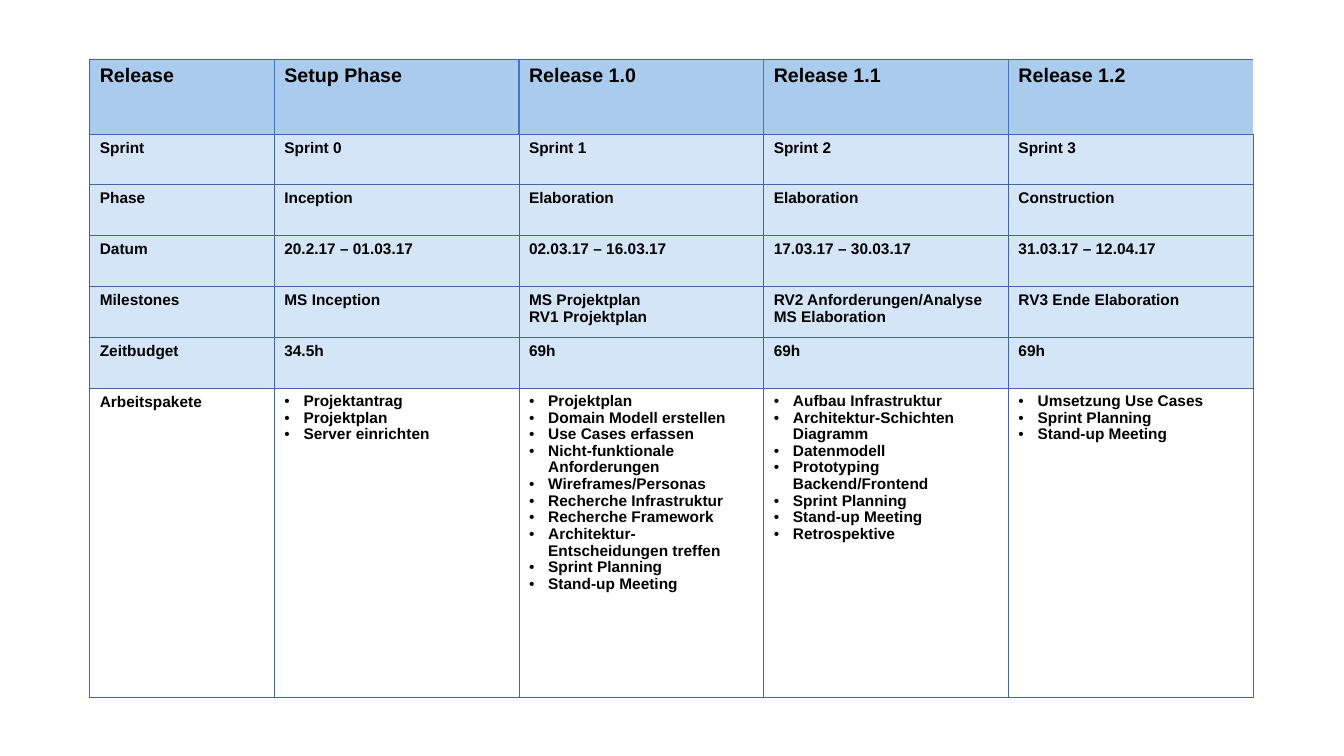
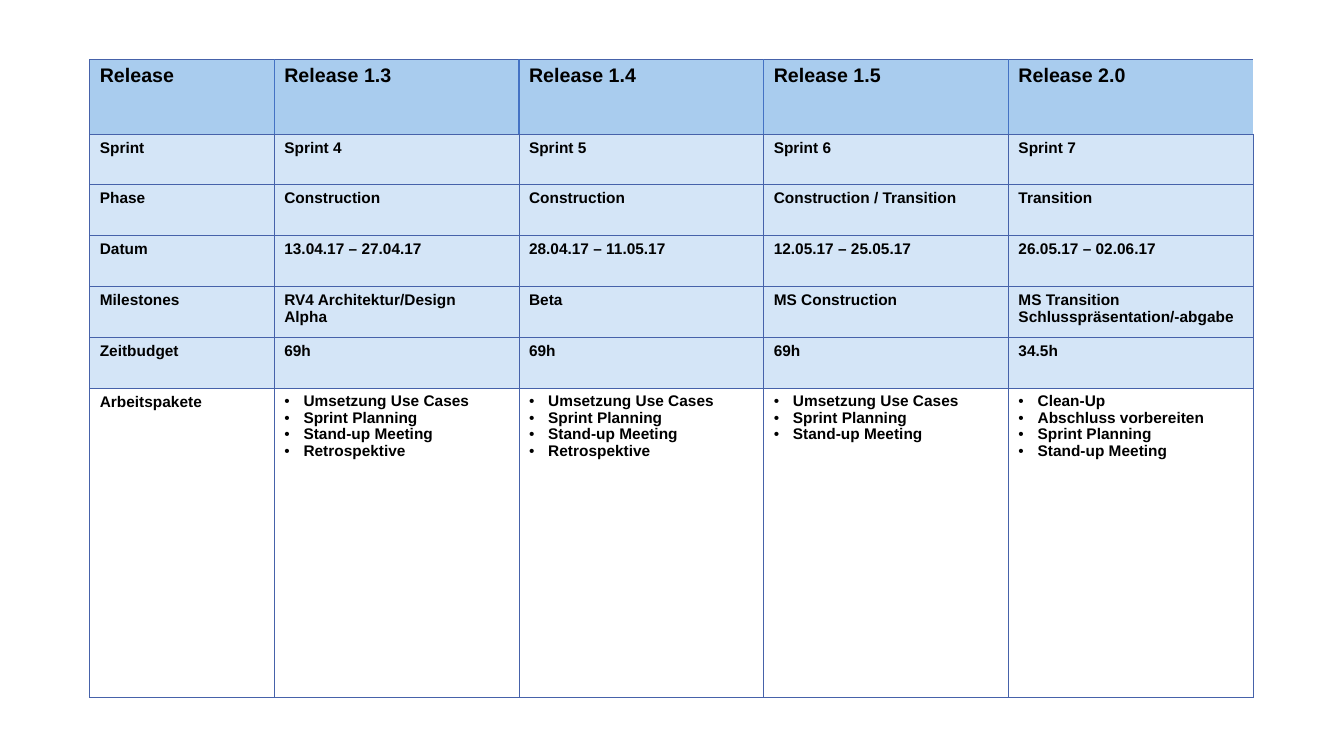
"""Build two slides with the release plan of a project, four releases per slide."""
from lxml.etree import SubElement
from pptx import Presentation
from pptx.dml.color import RGBColor as Rgb
from pptx.oxml.ns import qn
from pptx.util import Inches, Pt

COLORS = {"text": "000000", "header": "A9CCEE", "facts": "D4E5F7", "tasks": "FFFFFF",
          "grid": "4662AA", "divider": "4472C4", "edge": "FFFFFF"}
FONT = "Arial"
LEFT, TOP, WIDTH, HEIGHT = 0.89, 0.59, 11.54, 6.33
LABEL_WIDTH, HEADER_HEIGHT, TASKS_HEIGHT = 1.83, 0.74, 3.07
INDENT = Inches(0.19)

LABELS = ["Release", "Sprint", "Phase", "Datum", "Milestones", "Zeitbudget", "Arbeitspakete"]
ROUTINE = "Umsetzung Use Cases\nSprint Planning\nStand-up Meeting"
PLANS = [
    [
        ["Setup Phase", "Sprint 0", "Inception", "20.2.17 – 01.03.17", "MS Inception", "34.5h",
         "Projektantrag\nProjektplan\nServer einrichten"],
        ["Release 1.0", "Sprint 1", "Elaboration", "02.03.17 – 16.03.17",
         "MS Projektplan\nRV1 Projektplan", "69h",
         "Projektplan\nDomain Modell erstellen\nUse Cases erfassen\n"
         "Nicht-funktionale Anforderungen\nWireframes/Personas\nRecherche Infrastruktur\n"
         "Recherche Framework\nArchitektur-Entscheidungen treffen\nSprint Planning\n"
         "Stand-up Meeting"],
        ["Release 1.1", "Sprint 2", "Elaboration", "17.03.17 – 30.03.17",
         "RV2 Anforderungen/Analyse\nMS Elaboration", "69h",
         "Aufbau Infrastruktur\nArchitektur-Schichten Diagramm\nDatenmodell\n"
         "Prototyping Backend/Frontend\nSprint Planning\nStand-up Meeting\nRetrospektive"],
        ["Release 1.2", "Sprint 3", "Construction", "31.03.17 – 12.04.17",
         "RV3 Ende Elaboration", "69h", ROUTINE],
    ],
    [
        ["Release 1.3", "Sprint 4", "Construction", "13.04.17 – 27.04.17",
         "RV4 Architektur/Design\nAlpha", "69h", ROUTINE + "\nRetrospektive"],
        ["Release 1.4", "Sprint 5", "Construction", "28.04.17 – 11.05.17", "Beta", "69h",
         ROUTINE + "\nRetrospektive"],
        ["Release 1.5", "Sprint 6", "Construction / Transition", "12.05.17 – 25.05.17",
         "MS Construction", "69h", ROUTINE],
        ["Release 2.0", "Sprint 7", "Transition", "26.05.17 – 02.06.17",
         "MS Transition\nSchlusspräsentation/-abgabe", "34.5h",
         "Clean-Up\nAbschluss vorbereiten\nSprint Planning\nStand-up Meeting"],
    ],
]


def write(frame, text, size=11, color="text", bold=True, bullets=False):
    """Fill a text frame, one paragraph per line of text."""
    for number, line in enumerate(text.split("\n")):
        paragraph = frame.add_paragraph() if number else frame.paragraphs[0]
        run = paragraph.add_run()
        run.text = line
        run.font.name, run.font.size, run.font.bold = FONT, Pt(size), bold
        run.font.color.rgb = Rgb.from_string(COLORS[color])
        if bullets:
            paragraph.line_spacing = 0.97
            properties = paragraph._p.get_or_add_pPr()
            properties.set("marL", str(INDENT))
            properties.set("indent", str(-INDENT))
            bullet_color = SubElement(properties, qn("a:buClr"))
            SubElement(bullet_color, qn("a:srgbClr"), val=COLORS[color])
            SubElement(properties, qn("a:buFont"), typeface=FONT)
            SubElement(properties, qn("a:buChar"), char="•")


def add_border(cell, side, color, width):
    """Draw one side (L, R, T or B) of a cell; call before filling the cell."""
    line = SubElement(cell._tc.get_or_add_tcPr(), qn(f"a:ln{side}"), w=str(Pt(width)))
    fill = SubElement(line, qn("a:solidFill"))
    SubElement(fill, qn("a:srgbClr"), val=COLORS[color])


deck = Presentation()
deck.slide_width, deck.slide_height = Inches(13.33), Inches(7.5)
last_row = len(LABELS) - 1

for releases in PLANS:
    slide = deck.slides.add_slide(deck.slide_layouts[6])
    columns = [LABELS] + releases
    last_column = len(releases)
    plan = slide.shapes.add_table(len(LABELS), len(columns), Inches(LEFT), Inches(TOP),
                                  Inches(WIDTH), Inches(HEIGHT)).table
    plan.first_row = plan.horz_banding = False
    release_width = (WIDTH - LABEL_WIDTH) / len(releases)
    fact_height = (HEIGHT - HEADER_HEIGHT - TASKS_HEIGHT) / (last_row - 1)

    for row, label in enumerate(LABELS):
        height = {0: HEADER_HEIGHT, last_row: TASKS_HEIGHT}.get(row, fact_height)
        plan.rows[row].height = Inches(height)
        area = {0: "header", last_row: "tasks"}.get(row, "facts")
        for column, texts in enumerate(columns):
            plan.columns[column].width = Inches(release_width if column else LABEL_WIDTH)
            cell = plan.cell(row, column)
            for side in "LRTB":
                color, width = "grid", 0.75
                if row == 0 and (side == "R" or side == "L" and column > 0):
                    at_edge = side == "R" and column == last_column
                    color, width = "edge" if at_edge else "divider", 0.96
                add_border(cell, side, color, width)
            cell.fill.solid()
            cell.fill.fore_color.rgb = Rgb.from_string(COLORS[area])
            write(cell.text_frame, texts[row], size=14 if row == 0 else 11,
                  bullets=row == last_row and column > 0)

deck.save("out.pptx")
